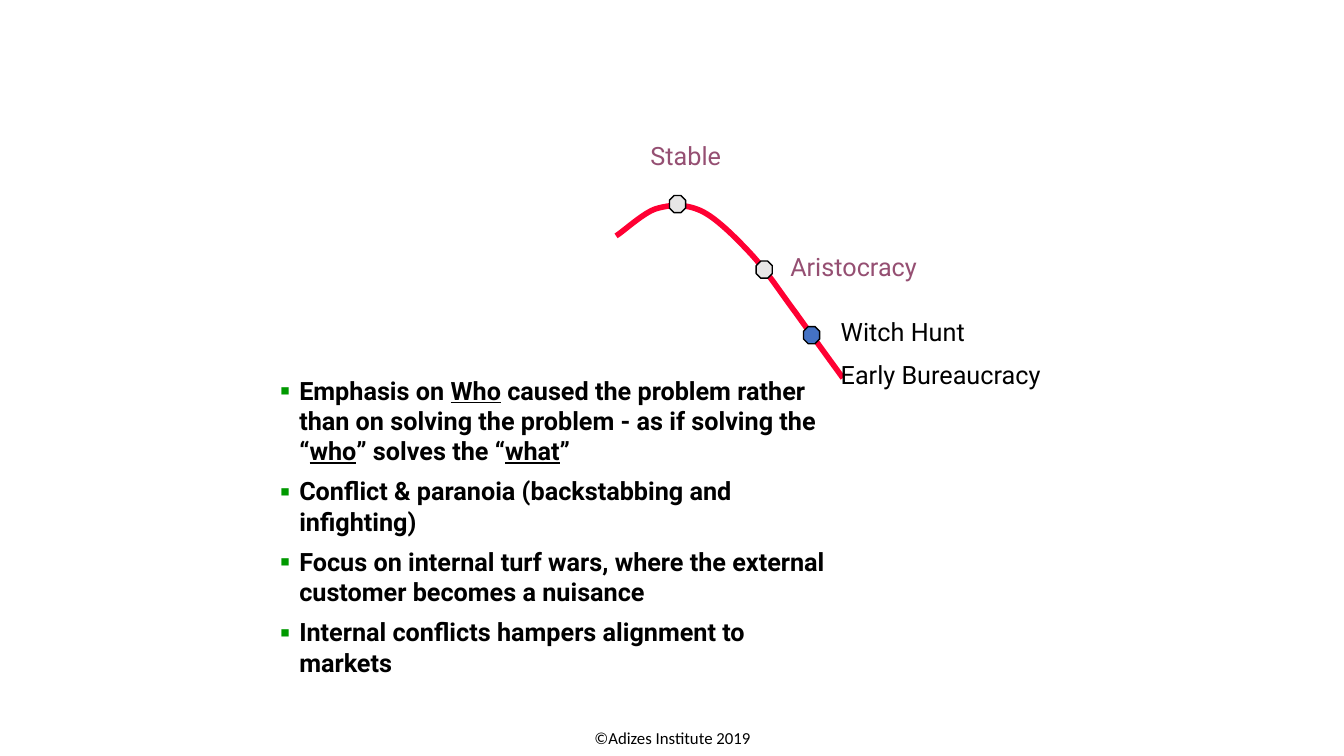
from dataclasses import dataclass

from lxml import etree
from pptx import Presentation
from pptx.dml.color import RGBColor
from pptx.enum.shapes import MSO_SHAPE
from pptx.enum.text import MSO_AUTO_SIZE, PP_ALIGN
from pptx.oxml.ns import qn
from pptx.util import Emu, Pt

PX = 9144  # 100 px to the inch
OCTAGON = MSO_SHAPE.OCTAGON
LEFT, CENTER, RIGHT = PP_ALIGN.LEFT, PP_ALIGN.CENTER, PP_ALIGN.RIGHT
FIT_SHAPE = MSO_AUTO_SIZE.SHAPE_TO_FIT_TEXT
COLORS = {
    "text": "000000",
    "stage": "954F72",
    "curve": "FF0033",
    "passed": "E7E6E6",
    "current": "4472C4",
    "bullet": "009900",
}
STEPS = 16
INDENT = 19


@dataclass
class Run:
    text: str
    underline: bool = False


@dataclass
class TextBox:
    x: int
    y: int
    w: int
    h: int
    paragraphs: list[list[Run]]
    color: str = "text"
    font: str = "Roboto"
    size: int = 18
    align: PP_ALIGN = LEFT
    before: float = 9
    after: float = 0
    bulleted: bool = False


@dataclass
class Marker:
    x: int
    y: int
    color: str


CURVE_START = (611, 234)
CURVE_SEGMENTS = [
    ((618, 230), (638, 211), (651, 207)),
    ((665, 203), (679, 202), (695, 209)),
    ((710, 216), (728, 234), (744, 251)),
    ((760, 268), (774, 290), (789, 310)),
    ((804, 331), (828, 364), (836, 375)),
]
MARKERS = [
    Marker(664, 194, "passed"),
    Marker(750, 259, "passed"),
    Marker(797, 324, "current"),
]
LABELS = [
    TextBox(609, 134, 116, 40, [[Run("Stable")]], "stage", align=RIGHT),
    TextBox(774, 244, 183, 40, [[Run("Aristocracy")]], "stage"),
    TextBox(824, 309, 248, 85, [[Run("Witch Hunt")], [Run("Early Bureaucracy")]]),
]
SYMPTOMS = TextBox(268, 367, 564, 317, [
    [
        Run("Emphasis on "), Run("Who", True),
        Run(" caused the problem rather than on solving the problem - as if solving the “"),
        Run("who", True), Run("” solves the “"), Run("what", True), Run("”"),
    ],
    [Run("Conflict & paranoia (backstabbing and infighting)")],
    [Run("Focus on internal turf wars, where the external customer becomes a nuisance")],
    [Run("Internal conflicts hampers alignment to markets")],
], before=3.6, after=3.6, bulleted=True)
FOOTER = TextBox(445, 718, 444, 30, [[Run("©Adizes Institute 2019")]],
                 font="Calibri", size=12, align=CENTER)


def px(n: int) -> Emu:
    return Emu(n * PX)


def rgb(name: str) -> RGBColor:
    return RGBColor.from_string(COLORS[name])


def add_bullet(p) -> None:
    pPr = p._p.get_or_add_pPr()
    pPr.set("marL", str(px(INDENT)))
    pPr.set("indent", str(px(-INDENT)))
    color = etree.SubElement(pPr, qn("a:buClr"))
    etree.SubElement(color, qn("a:srgbClr"), val=COLORS["bullet"])
    etree.SubElement(pPr, qn("a:buFont"), typeface="Roboto")
    etree.SubElement(pPr, qn("a:buChar"), char="▪")


def add_text(s, box: TextBox):
    tf = s.shapes.add_textbox(px(box.x), px(box.y), px(box.w), px(box.h)).text_frame
    tf.word_wrap = True
    tf.auto_size = FIT_SHAPE
    for i, runs in enumerate(box.paragraphs):
        p = tf.add_paragraph() if i else tf.paragraphs[0]
        p.alignment = box.align
        p.space_before = Pt(box.before if i else 0)
        p.space_after = Pt(box.after)
        if box.bulleted:
            add_bullet(p)
        for run in runs:
            r = p.add_run()
            r.text = run.text
            r.font.name = box.font
            r.font.size = Pt(box.size)
            r.font.bold = box.bulleted
            r.font.underline = run.underline
            r.font.color.rgb = rgb(box.color)
    return tf


def curve_points() -> list[tuple[int, int]]:
    """Sample the cubic segments of the lifecycle curve, in EMU."""
    points = []
    start = CURVE_START
    for c1, c2, end in CURVE_SEGMENTS:
        for step in range(1, STEPS + 1):
            t = step / STEPS
            u = 1 - t
            points.append(tuple(
                round(PX * (u**3 * a + 3 * u * u * t * b + 3 * u * t * t * c + t**3 * d))
                for a, b, c, d in zip(start, c1, c2, end)
            ))
        start = end
    return points


def add_curve(s) -> None:
    x, y = CURVE_START
    builder = s.shapes.build_freeform(px(x), px(y))
    builder.add_line_segments(curve_points(), close=False)
    sp = builder.convert_to_shape()
    sp.shadow.inherit = False
    sp.fill.background()
    sp.line.color.rgb = rgb("curve")
    sp.line.width = Pt(4)


def add_marker(s, marker: Marker) -> None:
    sp = s.shapes.add_shape(OCTAGON, px(marker.x), px(marker.y), px(16), px(17))
    sp.shadow.inherit = False
    sp.adjustments[0] = 0.29
    sp.fill.solid()
    sp.fill.fore_color.rgb = rgb(marker.color)
    sp.line.color.rgb = rgb("text")
    sp.line.width = Pt(1)


def main() -> None:
    prs = Presentation()
    prs.slide_width, prs.slide_height = px(1333), px(750)
    s = prs.slides.add_slide(prs.slide_layouts[6])
    tf = add_text(s, FOOTER)
    tf.margin_top = px(6)
    tf.paragraphs[0].line_spacing = 0.93
    add_curve(s)
    for marker in MARKERS:
        add_marker(s, marker)
    for box in [*LABELS, SYMPTOMS]:
        add_text(s, box)
    prs.save("out.pptx")


if __name__ == "__main__":
    main()
